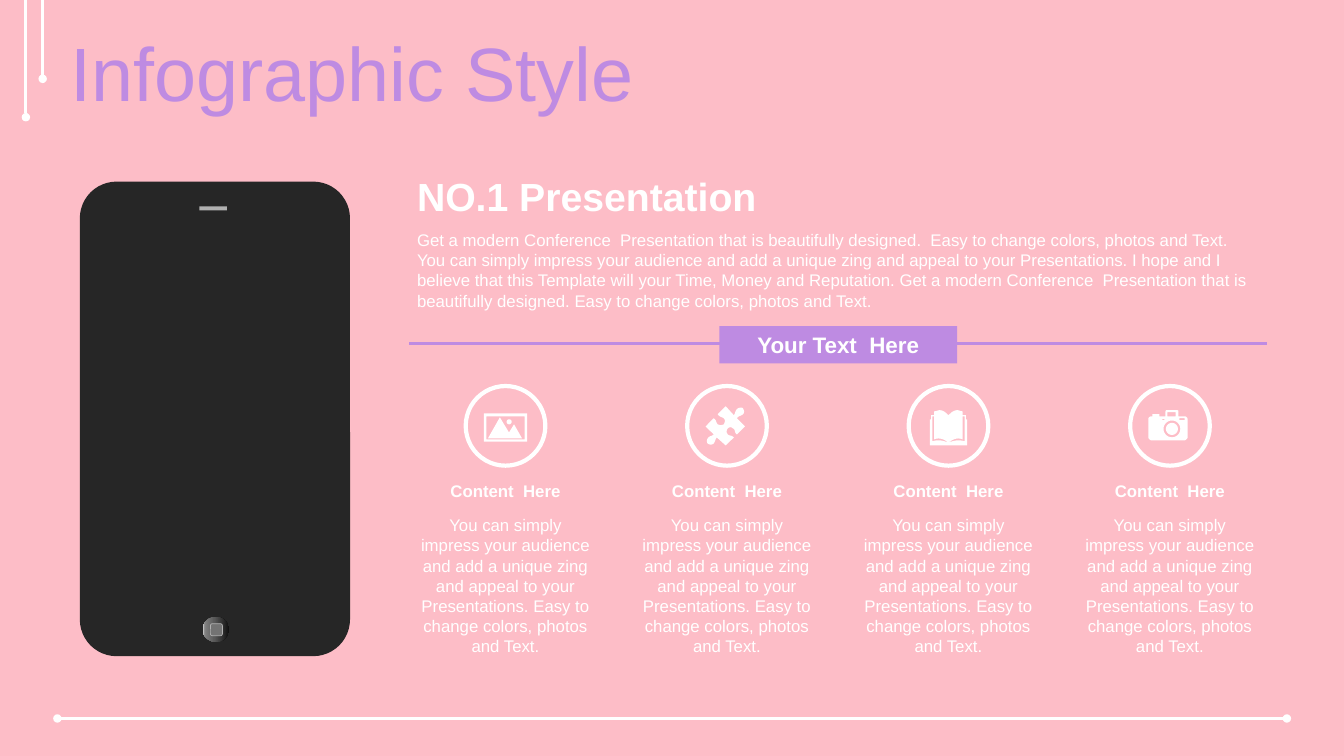
from copy import deepcopy
from dataclasses import dataclass
from math import cos, pi, sin
from lxml.etree import SubElement
from pptx import Presentation
from pptx.dml.color import RGBColor
from pptx.enum.shapes import MSO_CONNECTOR, MSO_SHAPE
from pptx.enum.text import MSO_ANCHOR, MSO_AUTO_SIZE, PP_ALIGN
from pptx.oxml.ns import qn
from pptx.util import Pt


@dataclass(frozen=True)
class Theme:
    font: str = "Arial"
    background: str = "FDBDC7"
    accent: str = "BE8BE2"
    light: str = "FFFFFF"
    phone: str = "262626"
    phone_detail: str = "B0B0B0"
    button_icon: str = "737373"
    button_stops: tuple = ((0, "0F0F0F"), (0.56, "595959"), (0.91, "808080"), (1, "BFBFBF"))
    title_size: int = 54
    heading_size: int = 28
    banner_size: int = 16
    body_size: int = 12


THEME = Theme()
INTRO = (
    "Get a modern Conference  Presentation that is beautifully designed.  Easy to change colors, "
    "photos and Text. You can simply impress your audience and add a unique zing and appeal to "
    "your Presentations. I hope and I believe that this Template will your Time, Money and "
    "Reputation. Get a modern Conference  Presentation that is beautifully designed. "
    "Easy to change colors, photos and Text."
)
FEATURE_TEXT = (
    "You can simply impress your audience and add a unique zing and appeal to your "
    "Presentations. Easy to change colors, photos and Text."
)
FIRST_CENTER, FEATURE_STEP, COLUMN_WIDTH = 361.1, 158.2, 139.7
RING_CENTER, RING_SIZE = 304.2, 56.9


def box(left, top, right, bottom):
    return [(left, top), (right, top), (right, bottom), (left, bottom)]


def circle(x, y, radius, steps=32):
    angles = [2 * pi * step / steps for step in range(steps)]
    return [(x + radius * cos(a), y + radius * sin(a)) for a in angles]


def mirrored(contour):
    return [tuple(-v if i % 2 == 0 else v for i, v in enumerate(node)) for node in contour]


# Icon contours are in points from the ring centre; six numbers make a cubic curve.
PHOTO_ICON = [
    box(-15.5, -9, 15.5, 11.2), box(-13.7, -6.8, 13.7, 9.7), circle(2.6, -2.9, 1.8),
    [(-12.6, 9), (-4, -6.1), (2.5, 4.7), (6.1, -1.1), (11.9, 9)],
]
PUZZLE_ICON = [[
    (11.4, -12.6), (12.1, -11.2, 12.8, -9.7, 11.4, -8.3), (9.9, -6.8, 8.5, -7.6, 7.1, -5.4),
    (12.8, 0.4), (7.1, 6.1), (4.9, 4.7, 6.3, 2.5, 4.2, 1.8), (2.7, 0.4, 1.3, 1.1, 0.6, 1.8),
    (-0.1, 2.5, -0.9, 4.7, 0.6, 6.1), (2, 7.6, 2.7, 6.1, 4.9, 8.3), (-0.9, 14), (-7.3, 8.3),
    (-8.8, 10.4, -8.1, 10.4, -9.5, 12.6), (-10.9, 14, -13.1, 13.3, -13.8, 12.6),
    (-14.5, 11.9, -14.5, 9.7, -13.8, 9), (-12.4, 6.8, -10.9, 7.6, -9.5, 6.1), (-15.3, 0.4),
    (-9.5, -5.4), (-7.3, -4, -8.1, -2.5, -6.6, -1.1), (-5.2, -0.4, -3.7, -0.4, -2.3, -1.1),
    (-1.6, -2.5, -0.9, -4, -2.3, -5.4), (-4.5, -6.8, -5.2, -6.1, -6.6, -8.3), (-0.9, -14),
    (4.9, -7.6), (6.3, -9.7, 5.6, -10.4, 7.1, -11.9), (8.5, -13.3, 10.7, -13.3, 11.4, -12.6),
]]
BOOK_COVER = [
    (0, -7.6), (2.2, -9.7, 3.7, -11.2, 6.5, -11.2), (7.3, -11.2, 8.7, -10.4, 10.2, -10.4),
    (10.2, -7.6), (12.4, -7.6), (12.4, -4.7), (13.3, -4.7), (13.3, 14), (0, 14),
]
PAGE_GROOVE = [
    (0, -6.8), (0.2, -6.8), (0.2, 11.9), (3.7, 9, 7.3, 8.3, 10.2, 9.7),
    (10.2, -6.8), (11.5, -6.8), (11.5, 11), (7, 9.6, 4, 10.5, 0, 12),
]
BOOK_ICON = [BOOK_COVER, PAGE_GROOVE, mirrored(BOOK_COVER), mirrored(PAGE_GROOVE)]
CAMERA_BODY = [
    (-3.2, -6.8), (-3.2, -9.7), (-3.2, -10.4, -3.2, -11.2, -2.2, -11.2), (5.1, -11.2),
    (6.1, -11.2, 6.1, -10.4, 6.1, -9.7), (6.1, -6.8), (10.4, -6.8),
    (11.2, -6.8, 12.6, -6.1, 12.6, -4.7), (12.6, 8.3), (12.6, 9, 11.2, 10.4, 10.4, 10.4),
    (-13.3, 10.4), (-14, 10.4, -15.5, 9, -15.5, 8.3), (-15.5, -4.7),
    (-15.5, -6.1, -14, -6.8, -13.3, -6.8), (-12.6, -6.8), (-12.6, -8.3), (-7.6, -8.3), (-7.6, -6.8),
]
CAMERA_ICON = [
    CAMERA_BODY, box(-1.8, -9.7, 4, -6.8), box(-5.4, -4.9, -4, -4), box(6.8, -5.4, 10.4, -4),
    circle(1.4, 2.2, 6), circle(1.4, 2.2, 4.3),
]


def rgb(color):
    return RGBColor.from_string(color)


def paint(shape, fill=None, line=None, weight=1):
    shape.shadow.inherit = False
    for part, color in ((shape.fill, fill), (shape.line.fill, line)):
        if color:
            part.solid()
            part.fore_color.rgb = rgb(color)
        else:
            part.background()
    if line:
        shape.line.width = Pt(weight)


def add_preset(slide, preset, left, top, width, height, **style):
    shape = slide.shapes.add_shape(preset, *map(Pt, (left, top, width, height)))
    paint(shape, **style)
    return shape


def add_rule(slide, start, end, color, **ovals):
    """Draw a straight line; headEnd and tailEnd name its arrowhead types."""
    rule = slide.shapes.add_connector(MSO_CONNECTOR.STRAIGHT, *map(Pt, start + end))
    rule.line.color.rgb = rgb(color)
    rule.line.width = Pt(2)
    for end_name, kind in ovals.items():
        SubElement(rule.get_or_add_ln(), qn("a:" + end_name), type=kind)
    SubElement(rule.element.spPr, qn("a:effectLst"))


def write_text(shape, text, size=THEME.body_size, color=THEME.light, bold=False,
               align=PP_ALIGN.LEFT, anchor=MSO_ANCHOR.TOP, spacing=1.0):
    frame = shape.text_frame
    frame.word_wrap, frame.auto_size, frame.vertical_anchor = True, MSO_AUTO_SIZE.NONE, anchor
    frame.text = text
    paragraph = frame.paragraphs[0]
    paragraph.alignment, paragraph.line_spacing, paragraph.space_before = align, spacing, Pt(0)
    font = paragraph.runs[0].font
    font.name, font.size, font.bold = THEME.font, Pt(size), bold
    font.color.rgb = rgb(color)


def add_text(slide, text, left, top, width, height, **style):
    write_text(slide.shapes.add_textbox(*map(Pt, (left, top, width, height))), text, **style)


def flatten(contour, steps=8):
    """Turn the cubic curves of a contour into short straight pieces."""
    points = [contour[0]]
    for node in contour[1:]:
        controls = [points[-1], node[:2], node[2:4], node[4:]]
        for t in [step / steps for step in range(1, steps + 1)] if len(node) == 6 else []:
            weights = ((1 - t) ** 3, 3 * t * (1 - t) ** 2, 3 * t * t * (1 - t), t ** 3)
            points.append([sum(w * c[i] for w, c in zip(weights, controls)) for i in (0, 1)])
        if len(node) == 2:
            points.append(node)
    return points


def add_icon(slide, contours, center_x, center_y):
    outlines = [[(Pt(center_x + x), Pt(center_y + y)) for x, y in flatten(c)] for c in contours]
    builder = slide.shapes.build_freeform(*outlines[0][0])
    for outline in outlines:
        builder.move_to(*outline[0])
        builder.add_line_segments(outline[1:], close=True)
    paint(builder.convert_to_shape(), fill=THEME.light)


def add_phone(slide):
    body = add_preset(slide, MSO_SHAPE.ROUNDED_RECTANGLE, 57, 129.7, 193, 339, fill=THEME.phone)
    body.adjustments[0] = 0.136
    add_preset(slide, MSO_SHAPE.RECTANGLE, 142.4, 147.4, 19.6, 3, fill=THEME.phone_detail)
    button = add_preset(slide, MSO_SHAPE.OVAL, 144.8, 440.6, 19, 18)
    button.fill.gradient()
    button.fill.gradient_angle = 180
    stop_list = button.element.spPr.find(".//" + qn("a:gsLst"))
    while len(stop_list) < len(THEME.button_stops):
        stop_list.append(deepcopy(stop_list[0]))
    for stop, (position, color) in zip(button.fill.gradient_stops, THEME.button_stops):
        stop.position, stop.color.rgb = position, rgb(color)
    add_preset(slide, MSO_SHAPE.ROUNDED_RECTANGLE, 150.3, 445.5, 8.6, 8.6,
               fill=THEME.button_icon, line=THEME.phone_detail, weight=0.5)


def add_feature(slide, icon, center):
    add_preset(slide, MSO_SHAPE.OVAL, center - RING_SIZE / 2, RING_CENTER - RING_SIZE / 2,
               RING_SIZE, RING_SIZE, line=THEME.light, weight=3)
    add_icon(slide, icon, center, RING_CENTER)
    for text, top, height, bold in (("Content  Here", 339.8, 21.8, True),
                                    (FEATURE_TEXT, 364.3, 108.7, False)):
        add_text(slide, text, center - COLUMN_WIDTH / 2, top, COLUMN_WIDTH, height,
                 bold=bold, align=PP_ALIGN.CENTER)


def main():
    deck = Presentation()
    deck.slide_width, deck.slide_height = Pt(960), Pt(540)
    slide = deck.slides.add_slide(deck.slide_layouts[5])
    slide.background.fill.solid()
    slide.background.fill.fore_color.rgb = rgb(THEME.background)
    add_phone(slide)
    add_rule(slide, (41, 513.2), (919.2, 513.2), THEME.light, headEnd="oval", tailEnd="oval")
    for x, bottom in ((18.5, 83.7), (30.5, 56.3)):
        add_rule(slide, (x, 0), (x, bottom), THEME.light, tailEnd="oval")
    title = slide.shapes.title
    title.left, title.top, title.width, title.height = map(Pt, (43.2, 26.6, 916.8, 56.9))
    write_text(title, "Infographic Style", size=THEME.title_size, color=THEME.accent,
               anchor=MSO_ANCHOR.MIDDLE, spacing=0.9)
    add_text(slide, "NO.1 Presentation", 290.8, 119.7, 616.3, 41.2, size=THEME.heading_size, bold=True)
    add_text(slide, INTRO, 290.8, 160.6, 616.3, 65.4)
    add_rule(slide, (292.3, 245.6), (905, 245.6), THEME.accent)
    banner = add_preset(slide, MSO_SHAPE.RECTANGLE, 513.8, 233, 169.9, 26.6, fill=THEME.accent)
    write_text(banner, "Your Text  Here", size=THEME.banner_size, bold=True,
               align=PP_ALIGN.CENTER, anchor=MSO_ANCHOR.MIDDLE)
    for column, icon in enumerate((PHOTO_ICON, PUZZLE_ICON, BOOK_ICON, CAMERA_ICON)):
        add_feature(slide, icon, FIRST_CENTER + column * FEATURE_STEP)
    deck.save("out.pptx")


if __name__ == "__main__":
    main()
